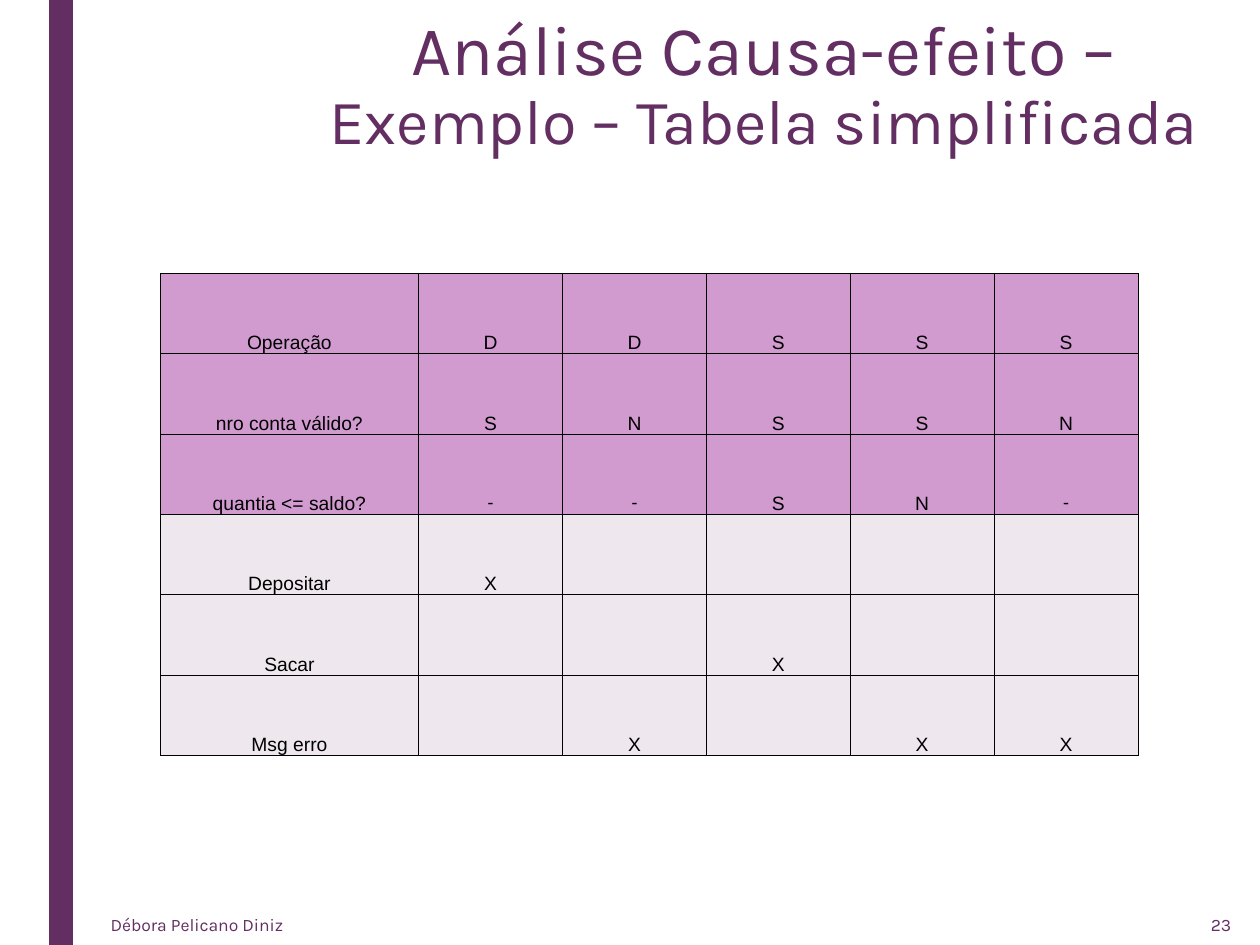
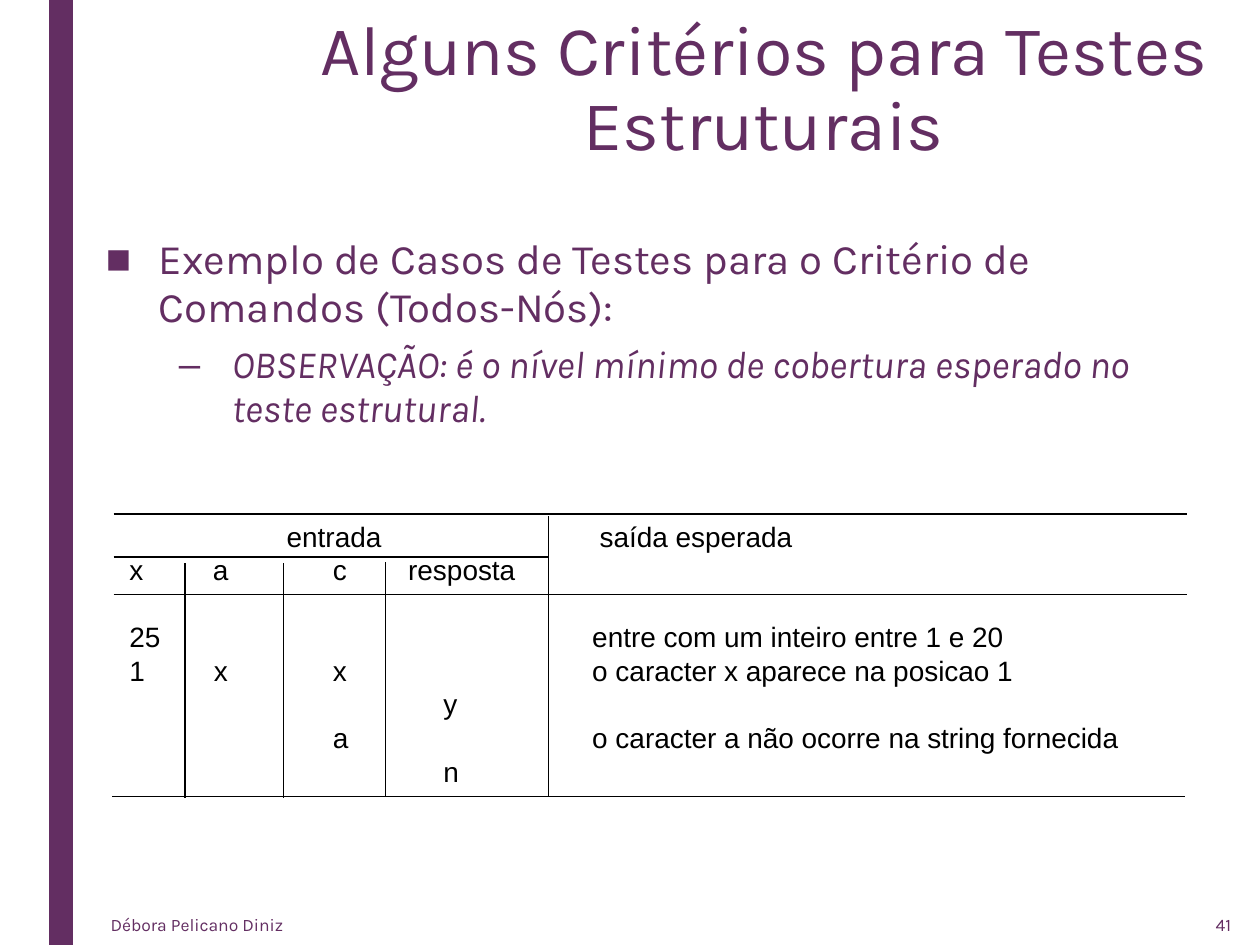
"""Build two slides on software testing: a cause-effect table and structural test cases."""
import lxml.etree
import pptx
import pptx.dml.color
import pptx.enum.shapes
import pptx.enum.text
import pptx.oxml.ns
import pptx.util

Cm, Pt = pptx.util.Cm, pptx.util.Pt
ALIGN = pptx.enum.text.PP_ALIGN
ANCHOR = pptx.enum.text.MSO_ANCHOR
COLOURS = {"purple": "632E62", "cause": "D19BD0", "effect": "EEE8EE", "ink": "000000"}
THEME_FONT, TABLE_FONT, DASH_FONT = "Karla", "Arial", "Calibri"
AUTHOR = "Débora Pelicano Diniz"

CAUSES = [
    ["Operação", "D", "D", "S", "S", "S"],
    ["nro conta válido?", "S", "N", "S", "S", "N"],
    ["quantia <= saldo?", "-", "-", "S", "N", "-"],
]
EFFECTS = [
    ["Depositar", "X", "", "", "", ""],
    ["Sacar", "", "", "X", "", ""],
    ["Msg erro", "", "X", "", "X", "X"],
]

GROUP_TABS, NAME_TABS, CASE_TABS = (3.17, 9.48), (1.68, 4.1, 5.62), (1.7, 4.1, 6.33, 9.33)
CASE_LINE = 19.2
CASE_ROWS = [
    (GROUP_TABS, ["", "entrada", "saída esperada"]),
    (NAME_TABS, ["x", "a", "c", "resposta"]),
    (CASE_TABS, ["25", "", "", "", "entre com um inteiro entre 1 e 20"]),
    (CASE_TABS, ["1", "x", "x", "", "o caracter x aparece na posicao 1"]),
    (CASE_TABS, ["", "", "", "y"]),
    (CASE_TABS, ["", "", "a", "", "o caracter a não ocorre na string fornecida"]),
    (CASE_TABS, ["", "", "", "n"]),
]
CASE_RULES = [
    (2.29, 10.36, 23.93, 10.36),
    (2.29, 11.23, 11.07, 11.23),
    (2.29, 11.99, 23.93, 11.99),
    (2.26, 16.05, 23.88, 16.05),
    (3.73, 11.35, 3.73, 16.08),
    (5.72, 11.35, 5.72, 16.08),
    (7.77, 11.33, 7.77, 16.05),
    (11.05, 10.41, 11.05, 16.05),
]


def colour(name):
    return pptx.dml.color.RGBColor.from_string(COLOURS[name])


def add_xml(parent, tag, **attributes):
    return lxml.etree.SubElement(parent, pptx.oxml.ns.qn(tag), attributes)


def format_span(span, size, font=THEME_FONT, ink="purple"):
    span.font.size = Pt(size)
    span.font.name = font
    span.font.color.rgb = colour(ink)


def place(shape, left, top, width, height):
    shape.left, shape.top, shape.width, shape.height = map(Cm, (left, top, width, height))
    frame = shape.text_frame
    frame.word_wrap = True
    frame.auto_size = pptx.enum.text.MSO_AUTO_SIZE.NONE
    frame.vertical_anchor = ANCHOR.TOP
    return frame


def add_footer(page, text, left, width, align):
    box = page.shapes.add_textbox(0, 0, 0, 0)
    frame = place(box, left, 18.24, width, 0.81)
    frame.vertical_anchor = ANCHOR.MIDDLE
    frame.text = text
    para = frame.paragraphs[0]
    para.alignment = align
    format_span(para.runs[0], 10)


def add_page(deck, layout, title_spans, number):
    page = deck.slides.add_slide(deck.slide_layouts.get_by_name(layout))
    band = page.shapes.add_shape(
        pptx.enum.shapes.MSO_SHAPE.RECTANGLE, Cm(0.99), 0, Cm(0.48), deck.slide_height)
    band.shadow.inherit = False
    band.fill.solid()
    band.fill.fore_color.rgb = colour("purple")
    band.line.fill.background()
    para = place(page.shapes.title, 6.02, 0.2, 18.75, 4.11).paragraphs[0]
    para.alignment = ALIGN.CENTER
    para.line_spacing = 0.89
    for text, size in title_spans:
        span = para.add_run()
        span.text = text
        format_span(span, size)
    add_footer(page, AUTHOR, 1.98, 13.08, ALIGN.LEFT)
    add_footer(page, str(number), 23.7, 1.37, ALIGN.RIGHT)
    return page


def add_borders(cell):
    properties = cell._tc.get_or_add_tcPr()
    for side in ("a:lnL", "a:lnR", "a:lnT", "a:lnB"):
        border = add_xml(properties, side, w=str(Pt(0.5)))
        add_xml(add_xml(border, "a:solidFill"), "a:srgbClr", val=COLOURS["ink"])


def fill_cell(cell, text, fill):
    add_borders(cell)
    cell.fill.solid()
    cell.fill.fore_color.rgb = colour(fill)
    cell.margin_left = cell.margin_right = cell.margin_top = Cm(0.03)
    cell.margin_bottom = 0
    cell.vertical_anchor = ANCHOR.BOTTOM
    cell.text = text
    para = cell.text_frame.paragraphs[0]
    para.alignment = ALIGN.CENTER
    for span in para.runs:
        format_span(span, 11, DASH_FONT if text == "-" else TABLE_FONT, "ink")


def add_decision_table(page):
    rows = CAUSES + EFFECTS
    widths = [5.21] + [2.9] * (len(rows[0]) - 1)
    height = 1.62
    table = page.shapes.add_table(
        len(rows), len(widths), Cm(3.23), Cm(5.51),
        Cm(sum(widths)), Cm(height * len(rows))).table
    table.first_row = table.horz_banding = False
    for column, width in zip(table.columns, widths):
        column.width = Cm(width)
    for index, texts in enumerate(rows):
        table.rows[index].height = Cm(height)
        fill = "cause" if index < len(CAUSES) else "effect"
        for cell, text in zip(table.rows[index].cells, texts):
            fill_cell(cell, text, fill)


def add_bullet(para, text, level, mark, indent, size, before):
    para.text = text
    para.level = level
    properties = para._p.get_or_add_pPr()
    properties.set("marL", str(Cm(indent)))
    properties.set("indent", str(Cm(-1.07)))
    add_xml(properties, "a:buChar", char=mark)
    para.line_spacing = 0.94
    para.space_before, para.space_after = Pt(before), Pt(2)
    format_span(para.runs[0], size)


def add_criterion(page):
    frame = place(page.placeholders[1], 1.88, 4.65, 22.89, 7.77)
    add_bullet(frame.paragraphs[0],
               "Exemplo de Casos de Testes para o Critério de Comandos (Todos-Nós):",
               0, "■", 1.07, 24, 0)
    note = frame.add_paragraph()
    add_bullet(note,
               "OBSERVAÇÃO: é o nível mínimo de cobertura esperado no teste estrutural.",
               1, "–", 2.54, 22, 5)
    note.runs[0].font.italic = True


def add_rule(page, *ends):
    rule = page.shapes.add_connector(
        pptx.enum.shapes.MSO_CONNECTOR.STRAIGHT, *map(Cm, ends))
    rule.line.color.rgb = colour("ink")
    rule.line.width = Pt(0.75)
    add_xml(rule._element.spPr, "a:effectLst")


def add_test_cases(page):
    frame = place(page.shapes.add_textbox(0, 0, 0, 0), 2.36, 10.34, 21.44, 5.69)
    for index, (stops, texts) in enumerate(CASE_ROWS):
        para = frame.add_paragraph() if index else frame.paragraphs[0]
        para.text = "\t".join(texts)
        tab_list = add_xml(para._p.get_or_add_pPr(), "a:tabLst")
        for stop in stops:
            add_xml(tab_list, "a:tab", pos=str(Cm(stop)), algn="l")
        para.line_spacing = Pt(CASE_LINE)
        if texts[0] == "25":
            para.space_before = Pt(CASE_LINE)
        format_span(para.runs[0], 16, TABLE_FONT, "ink")
    for ends in CASE_RULES:
        add_rule(page, *ends)


def main():
    deck = pptx.Presentation()
    deck.slide_width, deck.slide_height = Cm(25.4), Cm(19.05)
    table_page = add_page(
        deck, "Title Only",
        [("Análise Causa-efeito – ", 40), ("Exemplo – Tabela simplificada", 36)], 23)
    add_decision_table(table_page)
    criteria_page = add_page(
        deck, "Title and Content", [("Alguns Critérios para Testes Estruturais", 40)], 41)
    add_criterion(criteria_page)
    add_test_cases(criteria_page)
    deck.save("out.pptx")


if __name__ == "__main__":
    main()
